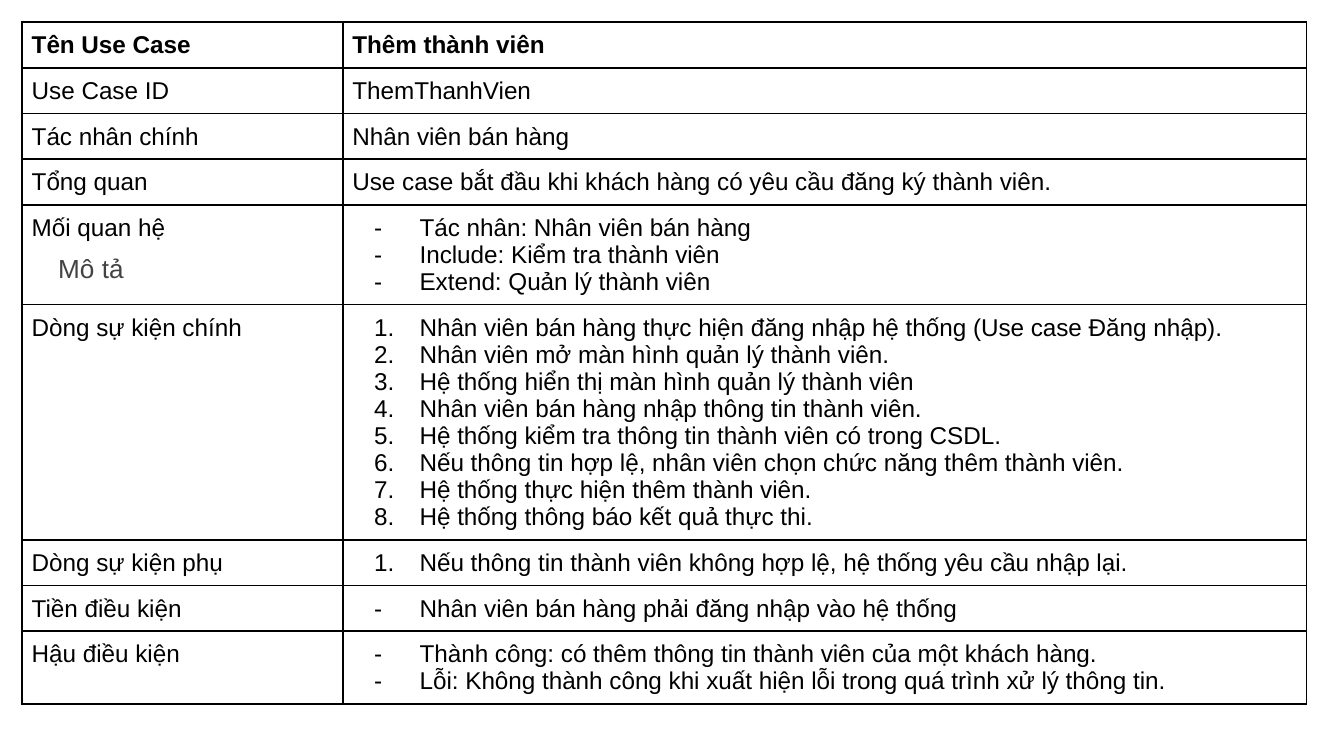
"""Build the use case slide describing how a member is added."""
from dataclasses import dataclass

from lxml import etree
from pptx import Presentation
from pptx import util as u
from pptx.dml import color
from pptx.enum import text
from pptx.oxml import ns


@dataclass(frozen=True)
class Theme:
    """Colours and type sizes of the slide."""
    font: str = "Arial"
    ink: str = "000000"
    muted: str = "434343"
    table_size: int = 13
    label_size: int = 14
    border: int = 1


THEME = Theme()
DASH = ("buChar", {"char": "-"})
NUMBER = ("buAutoNum", {"type": "arabicPeriod"})
USE_CASE_ROWS = [
    ("Tên Use Case", None, ["Thêm thành viên"]),
    ("Use Case ID", None, ["ThemThanhVien"]),
    ("Tác nhân chính", None, ["Nhân viên bán hàng"]),
    ("Tổng quan", None, ["Use case bắt đầu khi khách hàng có yêu cầu đăng ký thành viên."]),
    ("Mối quan hệ", DASH, [
        "Tác nhân: Nhân viên bán hàng",
        "Include: Kiểm tra thành viên",
        "Extend: Quản lý thành viên",
    ]),
    ("Dòng sự kiện chính", NUMBER, [
        "Nhân viên bán hàng thực hiện đăng nhập hệ thống (Use case Đăng nhập).",
        "Nhân viên mở màn hình quản lý thành viên.",
        "Hệ thống hiển thị màn hình quản lý thành viên",
        "Nhân viên bán hàng nhập thông tin thành viên.",
        "Hệ thống kiểm tra thông tin thành viên có trong CSDL.",
        "Nếu thông tin hợp lệ, nhân viên chọn chức năng thêm thành viên.",
        "Hệ thống thực hiện thêm thành viên.",
        "Hệ thống thông báo kết quả thực thi.",
    ]),
    ("Dòng sự kiện phụ", NUMBER, [
        "Nếu thông tin thành viên không hợp lệ, hệ thống yêu cầu nhập lại.",
    ]),
    ("Tiền điều kiện", DASH, ["Nhân viên bán hàng phải đăng nhập vào hệ thống"]),
    ("Hậu điều kiện", DASH, [
        "Thành công: có thêm thông tin thành viên của một khách hàng.",
        "Lỗi: Không thành công khi xuất hiện lỗi trong quá trình xử lý thông tin.",
    ]),
]


def set_format(target, values):
    """Set each named attribute on the target."""
    for name, value in values.items():
        setattr(target, name, value)


def add_element(parent, tag, **attributes):
    """Append a drawing element to its parent."""
    return etree.SubElement(parent, ns.qn(f"a:{tag}"), attributes)


def write_run(paragraph, words, size, ink, bold=False):
    """Write one formatted run into the paragraph."""
    run = paragraph.add_run()
    run.text = words
    set_format(run.font, {"name": THEME.font, "size": u.Pt(size), "bold": bold})
    run.font.color.rgb = color.RGBColor.from_string(ink)


def add_bullet(paragraph, bullet):
    """Give the paragraph a hanging indent and a list marker."""
    tag, attributes = bullet
    properties = paragraph._p.get_or_add_pPr()
    set_format(properties, {})
    properties.set("marL", str(u.Cm(1.27)))
    properties.set("indent", str(u.Cm(-0.86)))
    marker_color = add_element(properties, "buClr")
    add_element(marker_color, "srgbClr", val=THEME.ink)
    add_element(properties, "buFont", typeface=THEME.font)
    add_element(properties, tag, **attributes)


def add_borders(cell):
    """Draw a solid line on all four sides of the cell."""
    properties = cell._tc.get_or_add_tcPr()
    for side in ("lnL", "lnR", "lnT", "lnB"):
        line = add_element(properties, side, w=str(u.Pt(THEME.border)))
        fill = add_element(line, "solidFill")
        add_element(fill, "srgbClr", val=THEME.ink)


def fill_cell(cell, lines, bullet=None, bold=False):
    """Write the lines into a bordered cell, one paragraph each."""
    set_format(cell, {
        "margin_left": u.Cm(0.18), "margin_right": u.Cm(0.18),
        "margin_top": u.Cm(0.18), "margin_bottom": u.Cm(0.17),
        "vertical_anchor": text.MSO_ANCHOR.TOP,
    })
    add_borders(cell)
    cell.fill.background()
    frame = cell.text_frame
    for index, words in enumerate(lines):
        paragraph = frame.add_paragraph() if index else frame.paragraphs[0]
        if bullet:
            add_bullet(paragraph, bullet)
        write_run(paragraph, words, THEME.table_size, THEME.ink, bold)


def add_use_case_table(slide):
    """Add the two-column table, each row as tall as its line count."""
    widths = [u.Cm(6.06), u.Cm(18.21)]
    heights = [u.Cm(0.35 + 0.51 * len(lines)) for _, _, lines in USE_CASE_ROWS]
    shape = slide.shapes.add_table(len(heights), len(widths), u.Cm(0.42), u.Cm(0.42),
                                   sum(widths), sum(heights))
    table = shape.table
    set_format(table, {"first_row": False, "horz_banding": False})
    for column, width in zip(table.columns, widths):
        column.width = width
    for index, (title, bullet, lines) in enumerate(USE_CASE_ROWS):
        table.rows[index].height = heights[index]
        fill_cell(table.cell(index, 0), [title], bold=index == 0)
        fill_cell(table.cell(index, 1), lines, bullet, bold=index == 0)


def add_label(slide, words):
    """Add the vertically centred description label."""
    frame = slide.shapes.add_textbox(u.Cm(0.85), u.Cm(0.85), u.Cm(8.33), u.Cm(8.33)).text_frame
    margins = {f"margin_{side}": u.Cm(0.25) for side in ("left", "right", "top", "bottom")}
    set_format(frame, {**margins, "word_wrap": True, "vertical_anchor": text.MSO_ANCHOR.MIDDLE})
    paragraph = frame.paragraphs[0]
    set_format(paragraph, {
        "line_spacing": 1.15, "space_before": u.Pt(16), "space_after": u.Pt(4),
    })
    write_run(paragraph, words, THEME.label_size, THEME.muted)


def main():
    """Build and save the presentation."""
    presentation = Presentation()
    set_format(presentation, {"slide_width": u.Cm(25.4), "slide_height": u.Cm(14.29)})
    slide = presentation.slides.add_slide(presentation.slide_layouts[6])
    add_use_case_table(slide)
    add_label(slide, "Mô tả")
    presentation.save("out.pptx")


if __name__ == "__main__":
    main()
